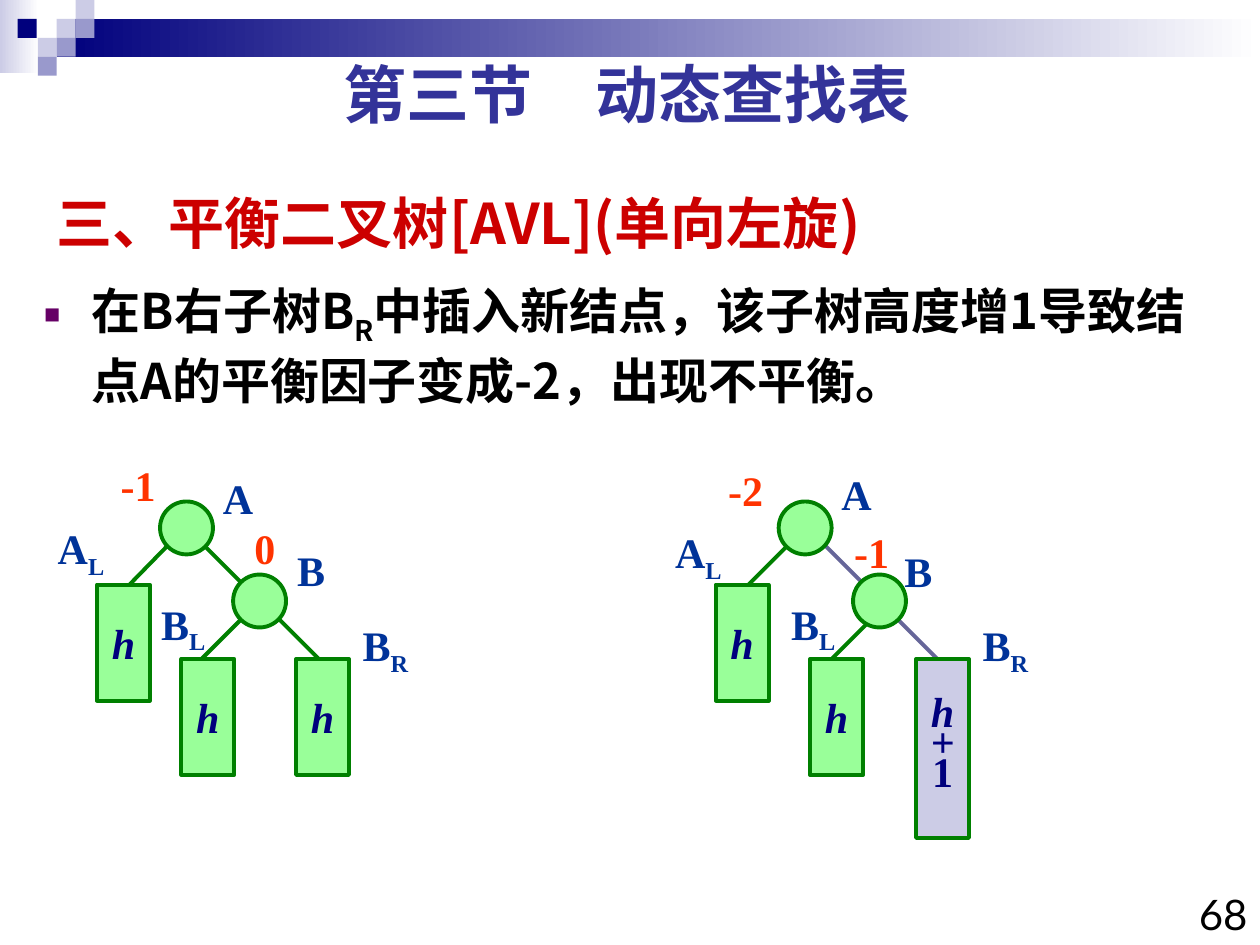
import pptx
import pptx.dml.color
import pptx.enum.shapes
import pptx.enum.text
import pptx.oxml
import pptx.oxml.ns
import pptx.util
from lxml import etree

RGBColor = pptx.dml.color.RGBColor
MSO_SHAPE = pptx.enum.shapes.MSO_SHAPE
PP_ALIGN = pptx.enum.text.PP_ALIGN
MSO_ANCHOR = pptx.enum.text.MSO_ANCHOR
MSO_AUTO_SIZE = pptx.enum.text.MSO_AUTO_SIZE
qn = pptx.oxml.ns.qn

PX = 9144  # 100 px to the inch
CJK, SERIF, SANS = "Noto Sans CJK SC", "Times New Roman", "Lato"
NAVY = RGBColor(0x00, 0x00, 0x7D)
LAVENDER = RGBColor(0xCC, 0xCC, 0xE6)
PERIWINKLE = RGBColor(0x99, 0x99, 0xCC)
INDIGO = RGBColor(0x33, 0x33, 0x99)
SLATE = RGBColor(0x66, 0x66, 0x99)
WHITE = RGBColor(0xFF, 0xFF, 0xFF)
BLACK = RGBColor(0x00, 0x00, 0x00)
RED = RGBColor(0xCC, 0x00, 0x00)
ORANGE = RGBColor(0xFF, 0x33, 0x00)
BLUE = RGBColor(0x00, 0x33, 0x99)
GREEN = RGBColor(0x00, 0x80, 0x00)
MINT = RGBColor(0x99, 0xFF, 0x99)


def write(shape, text, size=24, font=SERIF, color=BLUE, bold=True, italic=False,
          align=PP_ALIGN.LEFT, anchor=MSO_ANCHOR.TOP, wrap=False, spacing=1.0):
    """Fill a shape with text; parts between underscores are subscripts."""
    frame = shape.text_frame
    frame.auto_size = MSO_AUTO_SIZE.NONE
    frame.word_wrap = wrap
    frame.vertical_anchor = anchor
    for index, line in enumerate(text.split("\n")):
        paragraph = frame.add_paragraph() if index else frame.paragraphs[0]
        paragraph.alignment = align
        paragraph.line_spacing = spacing
        paragraph.space_before = pptx.util.Pt(0)
        for part_index, part in enumerate(line.split("_")):
            run = paragraph.add_run()
            run.text = part
            run.font.size = pptx.util.Pt(size)
            run.font.bold = bold
            run.font.italic = italic
            run.font.color.rgb = color
            run.font.name = font
            properties = run.font._element
            etree.SubElement(properties, qn("a:ea"), typeface=CJK)
            if part_index % 2:
                properties.set("baseline", "-25000")


def add_block(kind, left, top, width, height, fill, line=None):
    """Add a preset shape; a pair of colours makes a left-to-right gradient."""
    block = slide.shapes.add_shape(kind, left * PX, top * PX, width * PX, height * PX)
    block.shadow.inherit = False
    if isinstance(fill, list):
        block.fill.gradient()
        block.fill.gradient_angle = 0
        for stop, color, position in zip(block.fill.gradient_stops, fill, (0, 1)):
            stop.color.rgb = color
            stop.position = position
    else:
        block.fill.solid()
        block.fill.fore_color.rgb = fill
    if line is None:
        block.line.fill.background()
    else:
        block.line.color.rgb = line
        block.line.width = pptx.util.Pt(2.25)
    return block


presentation = pptx.Presentation()
presentation.slide_width = 1000 * PX
presentation.slide_height = 750 * PX
slide = presentation.slides.add_slide(presentation.slide_layouts[1])

# Header band and mosaic
add_block(MSO_SHAPE.RECTANGLE, 0, 0, 31, 58, [LAVENDER, WHITE])
add_block(MSO_SHAPE.RECTANGLE, 45, 15, 955, 30, [NAVY, WHITE])
for left, top, color in [
    (45, 15, LAVENDER), (60, 0, LAVENDER), (60, 15, PERIWINKLE), (30, 30, LAVENDER),
    (14, 15, NAVY), (45, 30, PERIWINKLE), (30, 45, PERIWINKLE),
]:
    add_block(MSO_SHAPE.RECTANGLE, left, top, 15, 15, color)

# Topic and statement
topic, statement = slide.shapes.title, slide.placeholders[1]
for placeholder, box in [(topic, (35, 139, 683, 75)), (statement, (25, 215, 958, 442))]:
    placeholder.left, placeholder.top, placeholder.width, placeholder.height = (
        length * PX for length in box)
write(topic, "三、平衡二叉树[AVL](单向左旋)", size=32, font=CJK, color=RED,
      anchor=MSO_ANCHOR.MIDDLE, wrap=True)
write(statement, "在B右子树B_R_中插入新结点，该子树高度增1导致结点A的平衡因子变成-2，出现不平衡。",
      size=28, font=CJK, color=BLACK, wrap=True, spacing=1.05)
bullet = statement.text_frame.paragraphs[0]._p.get_or_add_pPr()
bullet.set("marL", str(38 * PX))
bullet.set("indent", str(-38 * PX))
bullet_color = etree.SubElement(bullet, qn("a:buClr"))
etree.SubElement(bullet_color, qn("a:srgbClr"), val="660066")
etree.SubElement(bullet, qn("a:buSzPct"), val="55000")
etree.SubElement(bullet, qn("a:buFont"), typeface=SERIF)
etree.SubElement(bullet, qn("a:buChar"), char="■")

# Section heading and page number
section = slide.shapes.add_textbox(35 * PX, 39 * PX, 925 * PX, 70 * PX)
write(section, "第三节\u3000动态查找表", size=36, font=SANS, color=INDIGO,
      align=PP_ALIGN.CENTER, wrap=True)
page = slide.shapes.add_textbox(933 * PX, 700 * PX, 67 * PX, 59 * PX)
write(page, "68", font=SANS, color=BLACK, bold=False, align=PP_ALIGN.RIGHT, wrap=True)

# Trees before and after the insertion
before = {
    "edges": [(160, 431, 210, 481, GREEN), (219, 489, 269, 539, GREEN),
              (135, 431, 94, 473, GREEN), (194, 489, 152, 531, GREEN)],
    "nodes": [(127, 398), (185, 456)],
    "subtrees": [(77, 464, 92, MINT, "h"), (144, 523, 92, MINT, "h"),
                 (235, 523, 92, MINT, "h")],
    "labels": [("A", 167, 370), ("B", 226, 427), ("B_R", 278, 487), ("A_L", 36, 410),
               ("B_L", 118, 470), ("-1", 86, 360), ("0", 192, 410)],
}
after = {
    "edges": [(702, 481, 752, 531, SLATE), (702, 481, 660, 523, GREEN),
              (627, 431, 585, 473, GREEN), (643, 421, 693, 471, SLATE)],
    "nodes": [(618, 398), (677, 456)],
    "subtrees": [(568, 464, 92, MINT, "h"), (643, 523, 92, MINT, "h"),
                 (727, 523, 142, LAVENDER, "h\n+\n1")],
    "labels": [("A", 658, 367), ("B", 708, 428), ("B_R", 770, 487), ("A_L", 526, 413),
               ("B_L", 618, 470), ("-1", 668, 413), ("-2", 568, 364)],
}
label_width = {"A": 44, "B": 42, "A_L": 57, "B_L": 55, "B_R": 56, "0": 36, "-1": 48, "-2": 48}

for tree in (before, after):
    for x1, y1, x2, y2, color in tree["edges"]:
        edge = slide.shapes.add_connector(
            pptx.enum.shapes.MSO_CONNECTOR.STRAIGHT, x1 * PX, y1 * PX, x2 * PX, y2 * PX)
        edge.line.color.rgb = color
        edge.line.width = pptx.util.Pt(2.25)
        etree.SubElement(edge._element.spPr, qn("a:effectLst"))
    for left, top in tree["nodes"]:
        add_block(MSO_SHAPE.OVAL, left, top, 42, 42, MINT, GREEN)
    for left, top, height, fill, text in tree["subtrees"]:
        subtree = add_block(MSO_SHAPE.RECTANGLE, left, top, 42, height, fill, GREEN)
        write(subtree, text, color=NAVY, italic=True, align=PP_ALIGN.CENTER,
              anchor=MSO_ANCHOR.MIDDLE, spacing=0.6 if "\n" in text else 1.0)
        for run in subtree.text_frame.paragraphs[-1].runs:
            run.font.italic = run.text == "h"
    for text, left, top in tree["labels"]:
        label = slide.shapes.add_textbox(
            left * PX, top * PX, label_width[text] * PX, (56 if "_" in text else 50) * PX)
        write(label, text, color=BLUE if text[0] in "AB" else ORANGE)

presentation.save("out.pptx")
